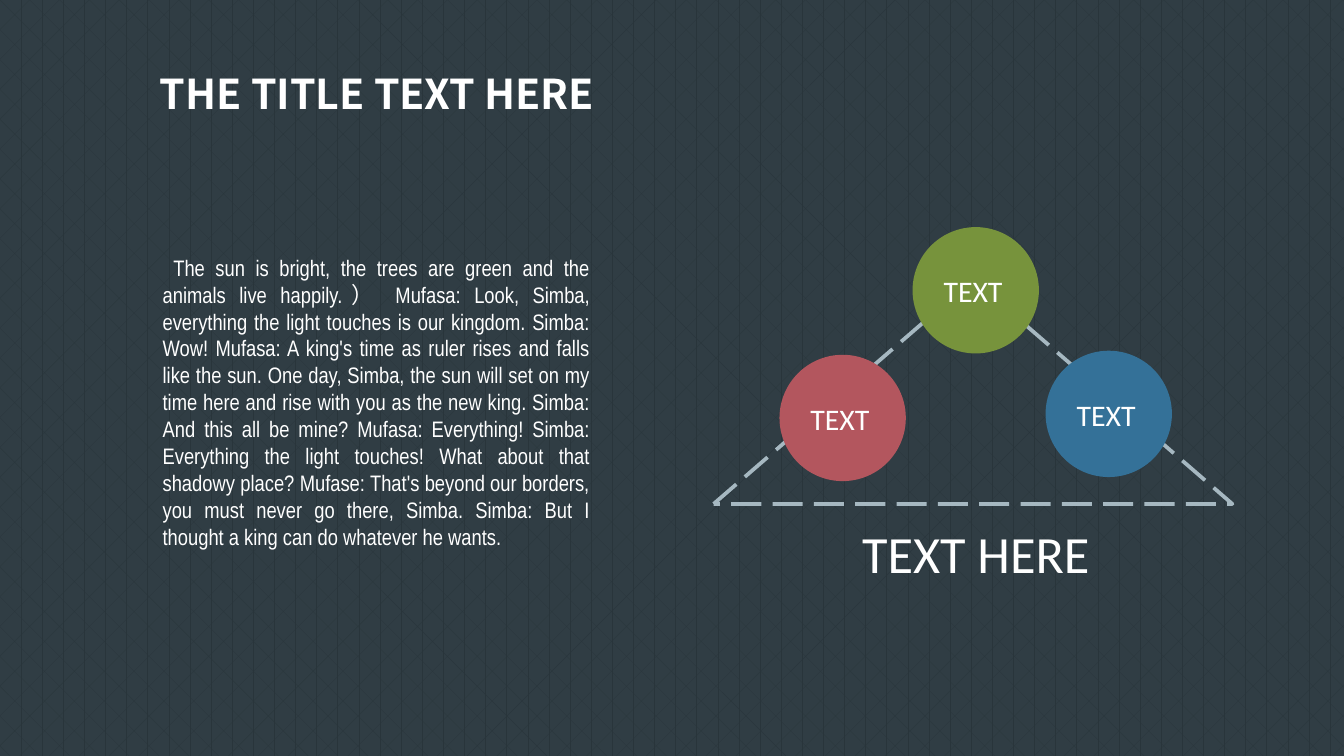
from pptx import Presentation
from pptx.dml.color import RGBColor
from pptx.enum.dml import MSO_LINE, MSO_PATTERN
from pptx.enum.shapes import MSO_SHAPE
from pptx.enum.text import MSO_ANCHOR, MSO_AUTO_SIZE, PP_ALIGN
from pptx.oxml.ns import qn
from pptx.util import Inches, Pt

WIDTH = 10
HEIGHT = WIDTH * 9 / 16
TITLE_AND_CONTENT = 1
CIRCLE_SIZE = 0.94
LABEL_WIDTH, LABEL_HEIGHT = 0.48, 0.27
LABEL_LEFT, LABEL_TOP = 0.21, 0.34  # measured from the circle's corner

WHITE = RGBColor(0xFF, 0xFF, 0xFF)
SLATE = RGBColor(0x30, 0x3D, 0x44)
DARK_SLATE = RGBColor(0x29, 0x35, 0x3B)
GREY_BLUE = RGBColor(0xA6, 0xB8, 0xC1)
GREEN = RGBColor(0x77, 0x93, 0x3C)
BLUE = RGBColor(0x34, 0x71, 0x98)
RED = RGBColor(0xB3, 0x56, 0x5E)

DIVOT = MSO_PATTERN.DIVOT
LONG_DASH = MSO_LINE.LONG_DASH
TRIANGLE, OVAL = MSO_SHAPE.ISOSCELES_TRIANGLE, MSO_SHAPE.OVAL
TOP, MIDDLE = MSO_ANCHOR.TOP, MSO_ANCHOR.MIDDLE
LEFT, CENTER, JUSTIFY = PP_ALIGN.LEFT, PP_ALIGN.CENTER, PP_ALIGN.JUSTIFY
NO_AUTOFIT = MSO_AUTO_SIZE.NONE

STORY = (
    "The sun is bright, the trees are green and the animals live happily.） "
    "Mufasa: Look, Simba, everything the light touches is our kingdom. "
    "Simba: Wow! Mufasa: A king's time as ruler rises and falls like the sun. "
    "One day, Simba, the sun will set on my time here and rise with you as "
    "the new king. Simba: And this all be mine? Mufasa: Everything! "
    "Simba: Everything the light touches! What about that shadowy place? "
    "Mufase: That's beyond our borders, you must never go there, Simba. "
    "Simba: But I thought a king can do whatever he wants."
)

# Left, top, width and height in inches
TITLE_BOX = (1.09, 0.46, 3.91, 0.47)
STORY_BOX = (1.21, 2.08, 3.18, 1.82)
TRIANGLE_BOX = (5.31, 2.08, 3.86, 1.67)
CAPTION_BOX = (6.04, 3.88, 2.44, 0.47)

# Left, top and colour of each circle
CIRCLES = [(6.79, 1.69, GREEN), (7.78, 2.61, BLUE), (5.8, 2.64, RED)]


def place(shape, box):
    shape.left, shape.top, shape.width, shape.height = map(Inches, box)


def write_text(shape, text, font_name, size, alignment,
               anchor=MIDDLE, margin=0, bold=False, wrap=True):
    """Fill a shape with one white paragraph and return the paragraph."""
    frame = shape.text_frame
    frame.word_wrap = wrap
    frame.auto_size = NO_AUTOFIT
    frame.vertical_anchor = anchor
    frame.margin_left = frame.margin_right = Inches(margin)
    frame.margin_top = frame.margin_bottom = Inches(margin / 2)
    paragraph = frame.paragraphs[0]
    paragraph.alignment = alignment
    paragraph.space_before = Pt(0)
    run = paragraph.add_run()
    run.text = text
    font = run.font
    font.name, font.size, font.bold = font_name, Pt(size), bold
    font.color.rgb = WHITE
    # East Asian signs use the same typeface
    east_asian = run._r.get_or_add_rPr().makeelement(
        qn("a:ea"), {"typeface": font_name})
    font._element.find(qn("a:latin")).addnext(east_asian)
    return paragraph


def remove_bullet(paragraph, first_line_indent):
    properties = paragraph._p.get_or_add_pPr()
    properties.set("marL", "0")
    properties.set("indent", str(Inches(first_line_indent)))
    properties.append(properties.makeelement(qn("a:buNone"), {}))


def add_background(slide):
    fill = slide.background.fill
    fill.patterned()
    fill.pattern = DIVOT
    fill.fore_color.rgb = DARK_SLATE
    fill.back_color.rgb = SLATE


def add_triangle(slide):
    triangle = slide.shapes.add_shape(TRIANGLE, *map(Inches, TRIANGLE_BOX))
    triangle.shadow.inherit = False
    triangle.fill.background()
    triangle.line.color.rgb = GREY_BLUE
    triangle.line.width = Pt(2)
    triangle.line.dash_style = LONG_DASH


def add_labelled_circle(slide, left, top, color):
    group = slide.shapes.add_group_shape()
    box = (left, top, CIRCLE_SIZE, CIRCLE_SIZE)
    circle = group.shapes.add_shape(OVAL, *map(Inches, box))
    circle.shadow.inherit = False
    circle.fill.solid()
    circle.fill.fore_color.rgb = color
    circle.line.fill.background()
    label_box = (left + LABEL_LEFT, top + LABEL_TOP, LABEL_WIDTH, LABEL_HEIGHT)
    label = group.shapes.add_textbox(*map(Inches, label_box))
    write_text(label, "TEXT", "Calibri", 16, CENTER, wrap=False)


def main():
    presentation = Presentation()
    presentation.slide_width = Inches(WIDTH)
    presentation.slide_height = Inches(HEIGHT)
    layout = presentation.slide_layouts[TITLE_AND_CONTENT]
    slide = presentation.slides.add_slide(layout)
    add_background(slide)

    # Title and story
    title, story = slide.placeholders
    place(title, TITLE_BOX)
    write_text(title, "THE TITLE TEXT HERE", "Noto Sans CJK SC", 22, LEFT,
               anchor=TOP, margin=0.1, bold=True)
    place(story, STORY_BOX)
    paragraph = write_text(story, STORY, "Arial Narrow", 12, JUSTIFY)
    remove_bullet(paragraph, 0.08)

    # Triangle with its circles and caption
    add_triangle(slide)
    for left, top, color in CIRCLES:
        add_labelled_circle(slide, left, top, color)
    caption = slide.shapes.add_textbox(*map(Inches, CAPTION_BOX))
    write_text(caption, "TEXT HERE", "Calibri", 28, CENTER)

    presentation.save("out.pptx")


if __name__ == "__main__":
    main()
